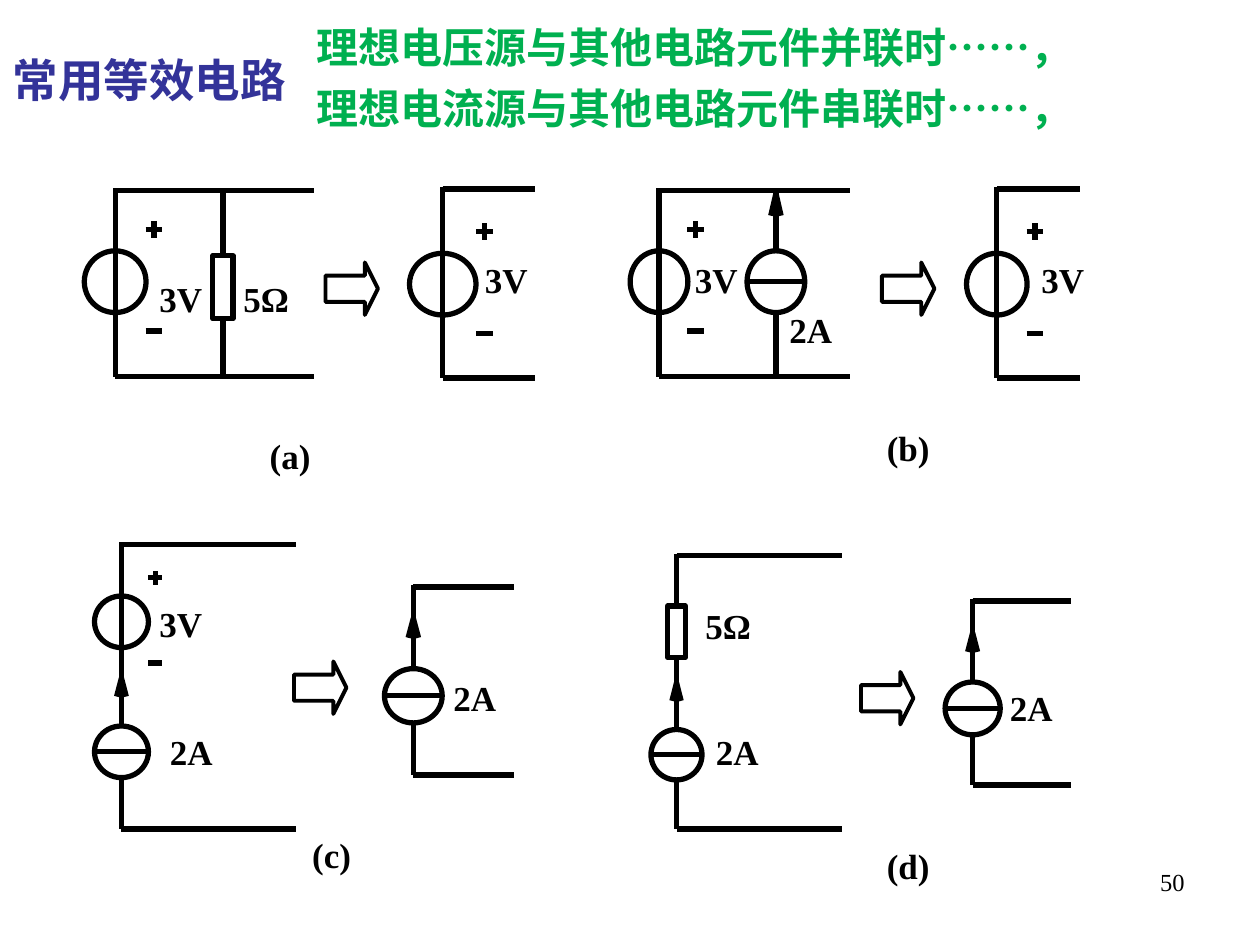
from lxml import etree
from pptx import Presentation
from pptx.dml.color import RGBColor
from pptx.enum import shapes, text
from pptx.oxml import ns
from pptx.util import Pt

BLACK = RGBColor(0x00, 0x00, 0x00)
WHITE = RGBColor(0xFF, 0xFF, 0xFF)
BLUE = RGBColor(0x33, 0x33, 0x99)
GREEN = RGBColor(0x00, 0xB0, 0x50)
FONT = "Times New Roman"
KIND = shapes.MSO_SHAPE
ALIGN = text.PP_ALIGN


def write(frame, words, size=20, bold=True, color=BLACK, align=ALIGN.LEFT, gap=0):
    """Fill a text frame, one paragraph per line of words."""
    frame.word_wrap = True
    frame.auto_size = text.MSO_AUTO_SIZE.NONE
    frame.vertical_anchor = text.MSO_ANCHOR.TOP
    frame.text = words
    for i, para in enumerate(frame.paragraphs):
        props = para._p.get_or_add_pPr()
        props.set("marL", "0")
        props.set("indent", "0")
        etree.SubElement(props, ns.qn("a:buNone"))
        para.alignment = align
        para.line_spacing = 1.0
        para.space_before = Pt(gap if i else 0)
        for run in para.runs:
            font = run.font
            font.name, font.size, font.bold = FONT, Pt(size), bold
            font.color.rgb = color


class Sketch:
    """Draws circuit parts on one slide; parts are placed by their centre."""

    def __init__(self, slide, width=3):
        self.slide = slide
        self.width = width
        self.group = None

    def begin(self):
        self.group = self.slide.shapes.add_group_shape().shapes

    def holder(self, frame, box, words, **style):
        frame.left, frame.top, frame.width, frame.height = map(Pt, box)
        write(frame.text_frame, words, **style)

    def label(self, words, x, y, w=42, h=31, **style):
        box = self.slide.shapes.add_textbox(Pt(x), Pt(y), Pt(w), Pt(h))
        write(box.text_frame, words, **style)

    def wire(self, x1, y1, x2, y2):
        line = self.group.add_connector(
            shapes.MSO_CONNECTOR.STRAIGHT, Pt(x1), Pt(y1), Pt(x2), Pt(y2))
        line.line.color.rgb = BLACK
        line.line.width = Pt(self.width)
        etree.SubElement(line._element.spPr, ns.qn("a:effectLst"))

    def shape(self, place, kind, x, y, w, h, width):
        item = place.add_shape(kind, Pt(x - w / 2), Pt(y - h / 2), Pt(w), Pt(h))
        item.shadow.inherit = False
        item.fill.solid()
        item.fill.fore_color.rgb = WHITE
        item.line.color.rgb = BLACK
        item.line.width = Pt(width)
        return item

    def node(self, kind, x, y, w, h):
        self.shape(self.group, kind, x, y, w, h, self.width)

    def load(self, x, y, w, h):
        self.node(KIND.RECTANGLE, x, y, w, h)

    def volt(self, x, y, w, h):
        """Voltage source with its plus and minus signs."""
        self.node(KIND.OVAL, x, y, w, h)
        mid, half = x + 0.63 * w, 0.135 * h
        plus, minus = y - 0.85 * h, y + 0.8 * h
        self.wire(mid - half, plus, mid + half, plus)
        self.wire(mid, plus - half, mid, plus + half)
        self.wire(mid - half, minus, mid + half, minus)

    def amp(self, x, y, w, h):
        """Current source with its arrow pointing up."""
        self.node(KIND.OVAL, x, y, w, h)
        self.wire(x - w / 2, y, x + w / 2, y)
        tip = y - 1.43 * h
        for side in (-0.09, 0.09):
            self.wire(x, tip, x + side * w, tip + 0.36 * h)
        self.wire(x, tip, x, y - 0.68 * h)

    def frame(self, x, right, top, foot):
        """Left stem with an upper and a lower terminal."""
        self.wire(x, top - 1, x, foot)
        for y in (top, foot):
            self.wire(x, y, right, y)

    def arrow(self, x, y, size=30):
        item = self.shape(self.slide.shapes, KIND.RIGHT_ARROW,
                          x + size / 2, y + size / 2, size, size, 2.25)
        item.adjustments[0], item.adjustments[1] = 0.5, 0.25


def main():
    deck = Presentation()
    deck.slide_width, deck.slide_height = Pt(720), Pt(540)
    slide = deck.slides.add_slide(deck.slide_layouts[1])
    art = Sketch(slide)

    # Title and rules
    art.holder(slide.shapes.title, (0, 26, 181, 38), "常用等效电路",
               size=26, color=BLUE)
    art.holder(slide.placeholders[1], (173.5, 8.5, 543.5, 80),
               "理想电压源与其他电路元件并联时……，\n理想电流源与其他电路元件串联时……，",
               size=24, color=GREEN, align=ALIGN.JUSTIFY, gap=6)

    # (a) voltage source beside a resistor
    art.begin()
    art.wire(127.4, 108.7, 127.4, 215.3)
    art.load(127.4, 164.2, 11.5, 36)
    art.volt(65.8, 161, 35.3, 35.3)
    art.frame(65.8, 179.5, 108.7, 215.3)

    # (b) voltage source beside a current source
    art.begin()
    art.volt(376.6, 161, 33, 35.3)
    art.frame(376.6, 485.6, 108.7, 215.3)
    art.wire(443.4, 108.7, 443.4, 215.3)
    art.amp(443.4, 161, 33, 35.3)

    # (a), (b) reduced to the voltage source
    for x, right, w in ((253, 305.6, 38), (569.6, 617.4, 34.6)):
        art.begin()
        art.volt(x, 162.4, w, 35.3)
        art.frame(x, right, 108, 216)

    # (c) voltage source in line with a current source
    art.begin()
    art.volt(69.4, 355.3, 30.8, 29.5)
    art.frame(69.4, 169.2, 311, 473.8)
    art.amp(69.4, 429.6, 30.8, 29.5)

    # (d) resistor in line with a current source
    art.begin()
    art.frame(386.6, 481.4, 317.5, 473.8)
    art.load(386.6, 361, 10, 29.5)
    art.amp(386.6, 431.3, 29.2, 28.8)

    # (c), (d) reduced to the current source
    for x, right, top, foot, y, w, h in (
            (236.2, 293.8, 335.5, 442.8, 397.6, 33, 31),
            (555.8, 612, 343.4, 448.6, 404.8, 31.5, 30.2)):
        art.begin()
        art.frame(x, right, top, foot)
        art.amp(x, y, w, h)

    # Block arrows
    for x, y in ((186, 150), (492, 384), (168, 378), (504, 150)):
        art.arrow(x, y)

    # Labels
    labels = {
        "(a)": [(147, 245)], "(b)": [(499.7, 240)],
        "(c)": [(171.3, 473)], "(d)": [(499.7, 479)],
        "3V": [(270, 144), (84, 155), (84, 340.5), (588, 144), (390, 144)],
        "2A": [(570, 389), (402, 414), (252, 383), (90, 414), (444, 173)],
        "5Ω": [(396, 342), (132, 155)],
    }
    for words, spots in labels.items():
        for x, y in spots:
            art.label(words, x, y)

    # Page number
    art.label("50", 516, 492, 168, 37.5, size=14, bold=False, align=ALIGN.RIGHT)

    deck.save("out.pptx")


if __name__ == "__main__":
    main()
